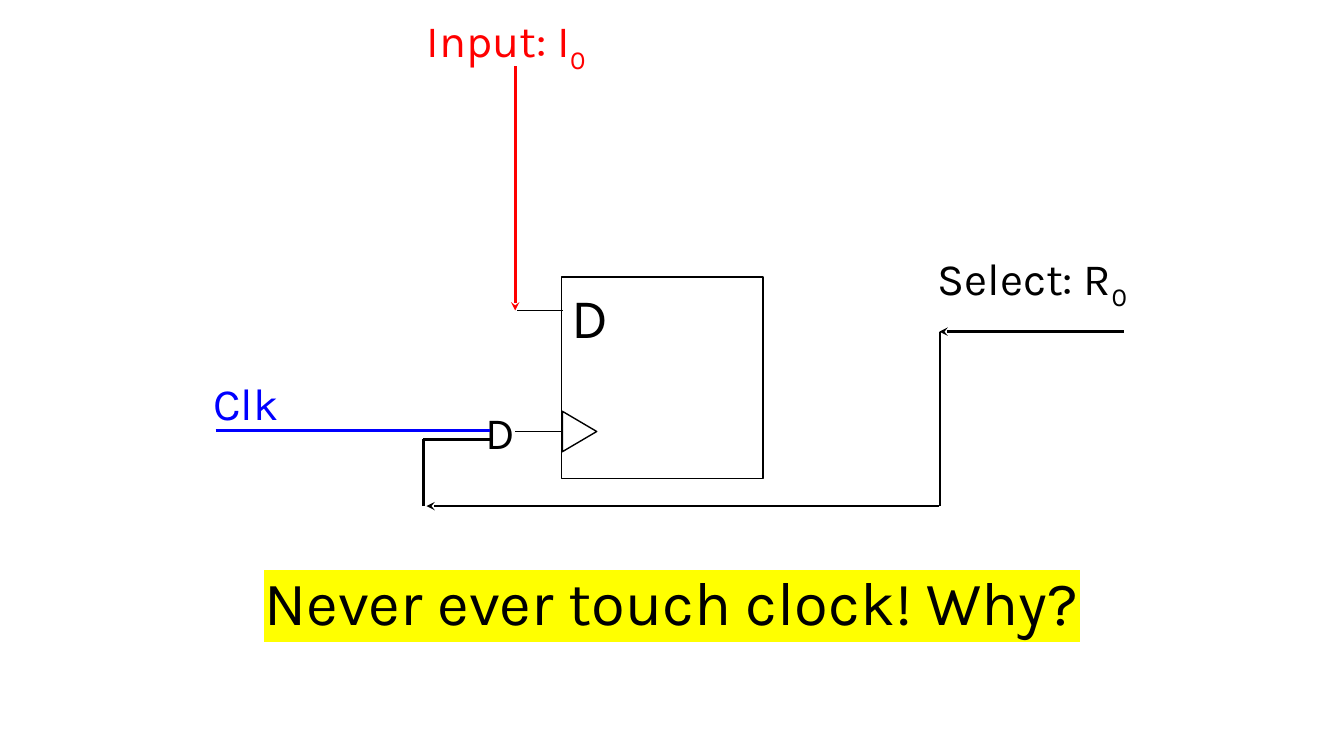
from lxml import etree
from pptx import Presentation
from pptx.dml.color import RGBColor
from pptx.enum import shapes, text
from pptx.oxml.ns import qn
from pptx.util import Pt

FONT = "Karla"
BLACK, WHITE, RED, BLUE, YELLOW = "000000", "FFFFFF", "FF0000", "0000FF", "FFFF00"


def color(value):
    return RGBColor.from_string(value)


def add_run(para, words, size, ink, sub=False, mark=None):
    """Add one run; sub lowers it and mark is its highlight colour."""
    run = para.add_run()
    run.text = words
    run.font.size = Pt(size)
    run.font.color.rgb = color(ink)
    props = run.font._element
    if sub:
        props.set("baseline", "-25000")
    if mark:
        light = etree.SubElement(props, qn("a:highlight"))
        etree.SubElement(light, qn("a:srgbClr")).set("val", mark)
    run.font.name = FONT


def add_label(slide, box, words, size=32, ink=BLACK, sub="", mark=None, center=True):
    frame = slide.shapes.add_textbox(*map(Pt, box)).text_frame
    frame.word_wrap = True
    para = frame.paragraphs[0]
    para.alignment = text.PP_ALIGN.CENTER if center else text.PP_ALIGN.LEFT
    add_run(para, words, size, ink, mark=mark)
    if sub:
        add_run(para, sub, size, ink, sub=True)


def add_wire(slide, start, end, width=2, ink=BLACK, arrow=False):
    """Draw a straight wire, with an arrowhead at its end if wanted."""
    wire = slide.shapes.add_connector(
        shapes.MSO_CONNECTOR.STRAIGHT, *map(Pt, (*start, *end)))
    wire.line.width = Pt(width)
    wire.line.color.rgb = color(ink)
    if arrow:
        tip = etree.SubElement(wire.line._get_or_add_ln(), qn("a:tailEnd"))
        tip.set("type", "stealth")
    etree.SubElement(wire._element.spPr, qn("a:effectLst"))


def add_part(slide, kind, box, fill=None):
    part = slide.shapes.add_shape(kind, *map(Pt, box))
    part.shadow.inherit = False
    if fill:
        part.fill.solid()
        part.fill.fore_color.rgb = color(fill)
    else:
        part.fill.background()
    part.line.color.rgb = color(BLACK)
    part.line.width = Pt(1)
    return part


def add_flop(slide):
    """Draw the D flip-flop with its data and clock pins."""
    kinds = shapes.MSO_SHAPE
    body = add_part(slide, kinds.RECTANGLE, (401, 198, 144, 144), WHITE)
    frame = body.text_frame
    frame.vertical_anchor = text.MSO_ANCHOR.TOP
    para = frame.paragraphs[0]
    para.alignment = text.PP_ALIGN.LEFT
    add_run(para, "D", 40, BLACK)
    clock = add_part(slide, kinds.ISOSCELES_TRIANGLE, (399.6, 296, 28.8, 24.5))
    clock.rotation = 90
    add_wire(slide, (368, 308.2), (401, 308.2), 0.5)
    add_wire(slide, (369.4, 221.8), (402.5, 221.8), 0.5)


def add_select(slide):
    """Route the select signal from the right to the clock gate."""
    right, left, low = 671.5, 302.5, 361.5
    add_wire(slide, (802.8, 236.9), (671, 236.9), arrow=True)
    add_wire(slide, (right, 236.9), (right, low))
    add_wire(slide, (671, low), (304.6, low), arrow=True)
    add_wire(slide, (left, low), (left, 313.9))
    add_wire(slide, (left, 313.9), (350, 313.9))


def main():
    deck = Presentation()
    deck.slide_width, deck.slide_height = Pt(960), Pt(540)
    slide = deck.slides.add_slide(deck.slide_layouts[6])

    add_flop(slide)
    add_wire(slide, (368, 47.5), (368, 221.8), ink=RED, arrow=True)
    add_label(slide, (218.2, 5.8, 286.6, 46), "Input: I", ink=RED, sub="0")
    add_select(slide)
    add_label(slide, (594, 175.7, 286.6, 46), "Select: R", sub="0")
    add_label(slide, (339.8, 285.8, 47.5, 46), "D", center=False)
    add_wire(slide, (154, 307.4), (350, 307.4), 1.75, BLUE)
    add_label(slide, (145.4, 265, 72, 46), "Clk", ink=BLUE, center=False)
    add_label(slide, (0, 399.6, 960, 60.5), "Never ever touch clock! Why?", 44, mark=YELLOW)
    deck.save("out.pptx")


if __name__ == "__main__":
    main()
